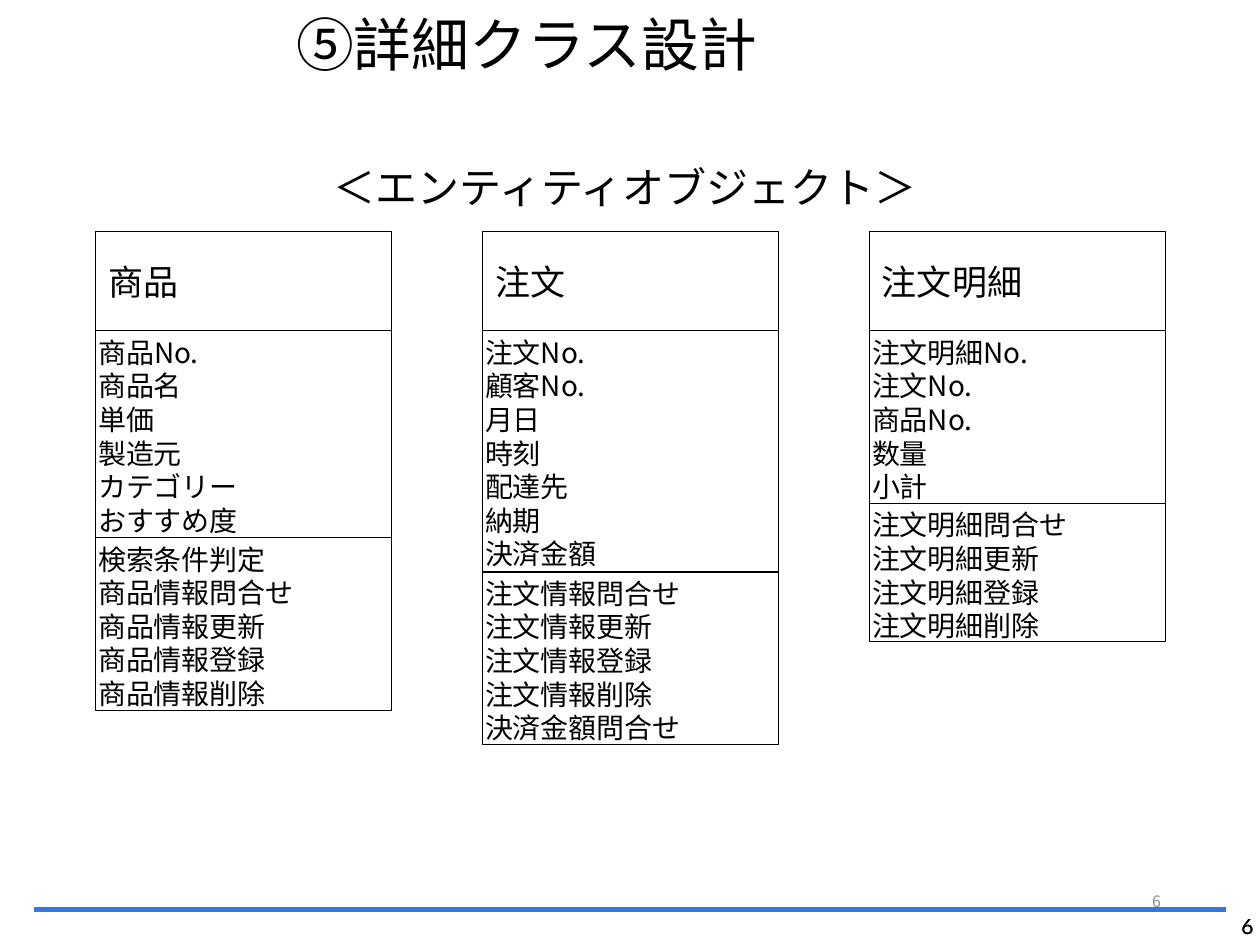
from dataclasses import dataclass

from lxml import etree
from pptx import Presentation
from pptx import util as u
from pptx.dml.color import RGBColor
from pptx.enum import shapes, text
from pptx.oxml.ns import qn

BLACK = RGBColor(0, 0, 0)
WHITE = RGBColor(255, 255, 255)
GREY = RGBColor(0x8C, 0x8C, 0x8C)
BLUE = RGBColor(0x31, 0x78, 0xE1)
SANS = "Noto Sans CJK JP"
LEFT, RIGHT = text.PP_ALIGN.LEFT, text.PP_ALIGN.RIGHT
TOP, MID = text.MSO_ANCHOR.TOP, text.MSO_ANCHOR.MIDDLE
EDGE, STEP, WIDE, HEAD_Y, HEAD_H = 1.93, 7.8, 5.97, 4.67, 2.0
ROW, PAD = 0.69, 0.03


@dataclass
class Style:
    size: float
    color: RGBColor = BLACK
    font: str = SANS
    align: text.PP_ALIGN = LEFT
    anchor: text.MSO_ANCHOR = TOP
    wrap: bool = True
    space: float | u.Pt | None = None
    inset: tuple[float, float, float, float] = (0.25, 0.13, 0.25, 0.13)


@dataclass
class Entity:
    name: str
    attrs: list[str]
    tasks: list[str]


TITLE = Style(33, anchor=MID, space=0.9)
SUB = Style(24, wrap=False, space=u.Pt(28.8), inset=(0.25, 0.2, 0.25, 0.05))
HEAD = Style(20, anchor=MID)
LIST = Style(16, wrap=False, space=u.Pt(19.2), inset=(0.05, 0.09, 0.05, 0))
NOTE = Style(9, GREY, align=RIGHT, anchor=MID)
PAGE = Style(12, font="Lato", align=RIGHT, inset=(0, 0.03, 0, 0.03))

ENTITIES = [
    Entity("商品",
           ["商品No.", "商品名", "単価", "製造元", "カテゴリー", "おすすめ度"],
           ["検索条件判定", "商品情報問合せ", "商品情報更新", "商品情報登録",
            "商品情報削除"]),
    Entity("注文",
           ["注文No.", "顧客No.", "月日", "時刻", "配達先", "納期", "決済金額"],
           ["注文情報問合せ", "注文情報更新", "注文情報登録", "注文情報削除",
            "決済金額問合せ"]),
    Entity("注文明細",
           ["注文明細No.", "注文No.", "商品No.", "数量", "小計"],
           ["注文明細問合せ", "注文明細更新", "注文明細登録", "注文明細削除"]),
]


def apply(item, values: dict) -> None:
    for key, val in values.items():
        setattr(item, key, val)


def write(shape, lines: list[str], style: Style) -> None:
    frame = shape.text_frame
    left, top, right, low = map(u.Cm, style.inset)
    apply(frame, {"word_wrap": style.wrap, "vertical_anchor": style.anchor,
                  "margin_left": left, "margin_top": top,
                  "margin_right": right, "margin_bottom": low})
    for i, line in enumerate(lines):
        para = frame.add_paragraph() if i else frame.paragraphs[0]
        apply(para, {"alignment": style.align, "line_spacing": style.space})
        run = para.add_run()
        run.text = line
        apply(run.font, {"size": u.Pt(style.size), "name": style.font})
        run.font.color.rgb = style.color
        east = etree.SubElement(run.font._element, qn("a:ea"))
        east.set("typeface", style.font)


def label(slide, box: tuple, line: str, style: Style) -> None:
    write(slide.shapes.add_textbox(*map(u.Cm, box)), [line], style)


def panel(slide, box: tuple, lines: list[str], style: Style) -> None:
    rect = slide.shapes.add_shape(shapes.MSO_SHAPE.RECTANGLE, *map(u.Cm, box))
    rect.shadow.inherit = False
    rect.fill.solid()
    rect.fill.fore_color.rgb = WHITE
    rect.line.color.rgb = BLACK
    rect.line.width = u.Pt(0.75)
    write(rect, lines, style)


def card(slide, left: float, entity: Entity) -> None:
    panel(slide, (left, HEAD_Y, WIDE, HEAD_H), [entity.name], HEAD)
    top = HEAD_Y + HEAD_H
    for lines in (entity.attrs, entity.tasks):
        high = ROW * len(lines) + PAD
        panel(slide, (left, top, WIDE, high), lines, LIST)
        top += high


def rule(slide) -> None:
    line = slide.shapes.add_connector(
        shapes.MSO_CONNECTOR.STRAIGHT,
        *map(u.Cm, (0.69, 18.34, 24.71, 18.34)))
    line.line.color.rgb = BLUE
    line.line.width = u.Pt(3)
    etree.SubElement(line._element.spPr, qn("a:effectLst"))


def main() -> None:
    deck = Presentation()
    apply(deck, {"slide_width": u.Cm(25.4), "slide_height": u.Cm(19.05)})
    slide = deck.slides.add_slide(deck.slide_layouts[6])
    rule(slide)
    for _ in range(2):
        label(slide, (23.7, 18.39, 1.57, 0.53), "6", PAGE)
    label(slide, (17.93, 17.65, 5.72, 1.02), "6", NOTE)
    label(slide, (5.72, 0, 19.68, 1.93), "⑤詳細クラス設計", TITLE)
    label(slide, (6.48, 3.05, 12.47, 1.27),
          "＜エンティティオブジェクト＞", SUB)
    for i, entity in enumerate(ENTITIES):
        card(slide, EDGE + i * STEP, entity)
    deck.save("out.pptx")


main()
